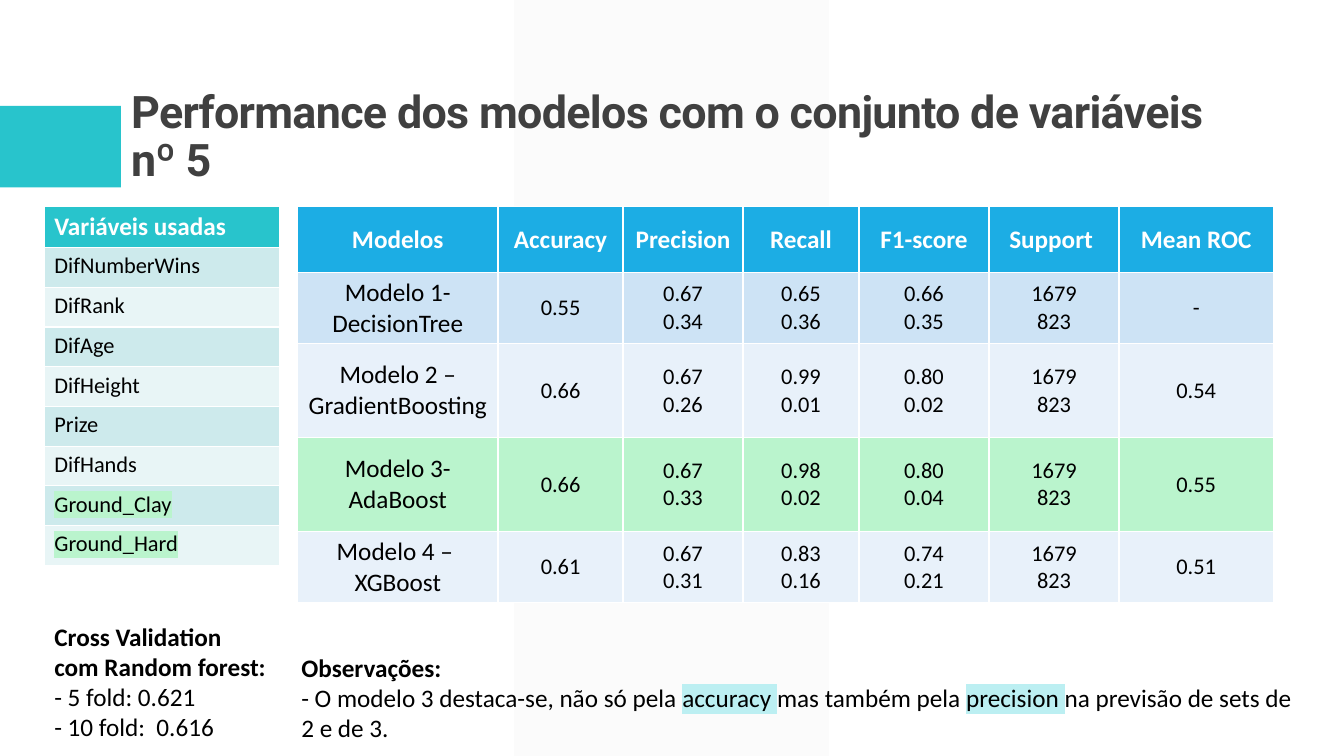
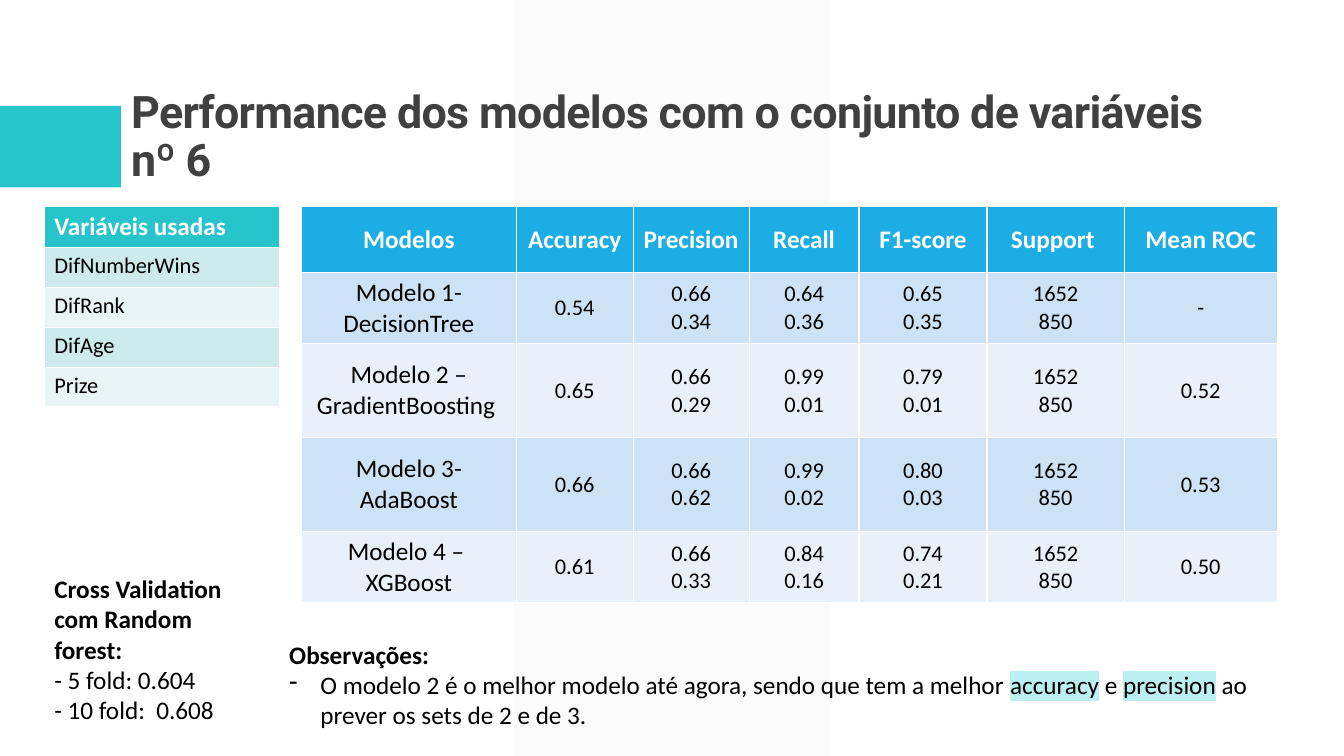
import lxml.etree
import pptx
import pptx.dml.color
import pptx.enum.shapes
import pptx.enum.text
import pptx.oxml.ns
import pptx.util

Inches = pptx.util.Inches
Pt = pptx.util.Pt
ALIGN = pptx.enum.text.PP_ALIGN
ANCHOR = pptx.enum.text.MSO_ANCHOR
qn = pptx.oxml.ns.qn

TEAL, BLUE, GREEN, AQUA = "28C4CC", "1CADE4", "BAF4CD", "BCEFF2"
WHITE, BLACK, TITLE_GRAY, BAND_GRAY = "FFFFFF", "000000", "404040", "F2F2F2"
BLUE_ROWS = ["CDE3F5", "E8F1FA"]
TEAL_ROWS = ["CDEAEC", "E8F5F6"]

HEADERS = ["Modelos", "Accuracy", "Precision", "Recall", "F1-score", "Support ", "Mean ROC"]
MODELS = ["Modelo 1- DecisionTree", "Modelo 2 – GradientBoosting ",
          "Modelo 3- AdaBoost", "Modelo 4 – \nXGBoost"]
ROW_HEIGHTS = [0.65, 0.7, 0.93, 0.93, 0.7]

PAGES = [
    {
        "number": 5,
        "table_left": 2.95,
        "widths": [1.99, 1.24, 1.19, 1.15, 1.29, 1.29, 1.53],
        "support": "1679\n823",
        "scores": [
            ["0.55", "0.67\n0.34", "0.65\n0.36", "0.66\n0.35", "-"],
            ["0.66", "0.67\n0.26", "0.99\n0.01", "0.80\n0.02", "0.54"],
            ["0.66", "0.67\n0.33", "0.98\n0.02", "0.80\n0.04", "0.55"],
            ["0.61", "0.67\n0.31", "0.83\n0.16", "0.74\n0.21", "0.51"],
        ],
        "best_row": 3,
        "variables": ["DifNumberWins", "DifRank", "DifAge", "DifHeight", "Prize", "DifHands",
                      "|Ground_Clay", "|Ground_Hard"],
        "variables_height": 3.55,
        "validation_box": (0.44, 6.11, 2.51, 1.31),
        "validation_heading": "Cross Validation\ncom Random forest:",
        "folds": "- 5 fold: 0.621\n- 10 fold:  0.616",
        "notes_box": (2.89, 6.42, 10.11, 1.01),
        "observation": "- O modelo 3 destaca-se, não só pela |accuracy |mas também pela "
                       "|precision |na previsão de sets de 2 e de 3.",
        "bulleted": False,
    },
    {
        "number": 6,
        "table_left": 2.99,
        "widths": [2.13, 1.16, 1.15, 1.09, 1.27, 1.36, 1.52],
        "support": "1652\n850",
        "scores": [
            ["0.54", "0.66\n0.34", "0.64\n0.36", "0.65\n0.35", "-"],
            ["0.65", "0.66\n0.29", "0.99\n0.01", "0.79\n0.01", "0.52"],
            ["0.66", "0.66\n0.62", "0.99\n0.02", "0.80\n0.03", "0.53"],
            ["0.61", "0.66\n0.33", "0.84\n0.16", "0.74\n0.21", "0.50"],
        ],
        "best_row": None,
        "variables": ["DifNumberWins", "DifRank", "DifAge", "Prize"],
        "variables_height": 1.98,
        "validation_box": (0.44, 5.64, 2, 1.62),
        "validation_heading": "Cross Validation com Random forest:",
        "folds": "- 5 fold: 0.604\n- 10 fold:  0.608",
        "notes_box": (2.77, 6.29, 10.12, 1.01),
        "observation": "O modelo 2 é o melhor modelo até agora, sendo que tem a melhor "
                       "|accuracy| e |precision| ao prever os sets de 2 e de 3.",
        "bulleted": True,
    },
]


def color(value):
    return pptx.dml.color.RGBColor.from_string(value)


def write(text_frame, text, size, hex_color=BLACK, bold=False, align=ALIGN.LEFT,
          highlight=AQUA, font_name="Calibri"):
    for line in text.split("\n"):
        paragraph = text_frame.paragraphs[-1]
        if paragraph.runs:
            paragraph = text_frame.add_paragraph()
        paragraph.alignment = align
        paragraph.font.name = font_name
        paragraph.font.size = Pt(size)
        paragraph.font.bold = bold
        paragraph.font.color.rgb = color(hex_color)
        for index, part in enumerate(line.split("|")):
            if part:
                run = paragraph.add_run()
                run.text = part
                if index % 2:
                    mark = lxml.etree.SubElement(run._r.get_or_add_rPr(), qn("a:highlight"))
                    lxml.etree.SubElement(mark, qn("a:srgbClr"), val=highlight)
    return paragraph


presentation = pptx.Presentation()
presentation.slide_width = Inches(13.33)
presentation.slide_height = Inches(7.5)
layout = presentation.slide_layouts[5]
slides = [presentation.slides.add_slide(layout) for page in PAGES]

decorations = [((0, 1.05, 1.2, 0.81), TEAL, 100), ((5.1, 0, 3.12, 7.5), BAND_GRAY, 30)]
for box, fill, opacity in decorations:
    shape = slides[0].shapes.add_shape(pptx.enum.shapes.MSO_SHAPE.RECTANGLE, *map(Inches, box))
    shape.shadow.inherit = False
    shape.line.fill.background()
    shape.fill.solid()
    shape.fill.fore_color.rgb = color(fill)
    fill_color = shape.element.spPr.find(".//" + qn("a:srgbClr"))
    lxml.etree.SubElement(fill_color, qn("a:alpha"), val=str(opacity * 1000))
    layout.shapes.element.insert(2, shape.element)

for slide, page in zip(slides, PAGES):
    title = slide.shapes.title
    title.left, title.top, title.width, title.height = map(Inches, (1.2, 0.31, 11, 1.59))
    title.text_frame.word_wrap = True
    title.text_frame.auto_size = pptx.enum.text.MSO_AUTO_SIZE.NONE
    title.text_frame.vertical_anchor = ANCHOR.BOTTOM
    heading = f"Performance dos modelos com o conjunto de variáveis nº {page['number']}"
    paragraph = write(title.text_frame, heading, 32, TITLE_GRAY, True, font_name="Roboto")
    paragraph.line_spacing = 0.9
    paragraph.runs[0]._r.get_or_add_rPr().set("spc", "-50")

    rows = [HEADERS]
    for model, scores in zip(MODELS, page["scores"]):
        rows.append([model, *scores[:4], page["support"], scores[4]])
    table = slide.shapes.add_table(len(rows), len(HEADERS), Inches(page["table_left"]),
                                   Inches(2.05), Inches(9.69), Inches(3.92)).table
    for column, width in zip(table.columns, page["widths"]):
        column.width = Inches(width)
    for row_index, values in enumerate(rows):
        table.rows[row_index].height = Inches(ROW_HEIGHTS[row_index])
        is_header = row_index == 0
        fill = BLUE if is_header else BLUE_ROWS[(row_index - 1) % 2]
        if row_index == page["best_row"]:
            fill = GREEN
        for column_index, value in enumerate(values):
            cell = table.cell(row_index, column_index)
            cell.vertical_anchor = ANCHOR.MIDDLE
            cell.fill.solid()
            cell.fill.fore_color.rgb = color(fill)
            size = 18 if is_header or column_index == 0 else 16
            write(cell.text_frame, value, size, WHITE if is_header else BLACK, is_header,
                  ALIGN.CENTER)

    variables = ["Variáveis usadas", *page["variables"]]
    table = slide.shapes.add_table(len(variables), 1, Inches(0.44), Inches(2.05), Inches(2.33),
                                   Inches(page["variables_height"])).table
    for row_index, variable in enumerate(variables):
        is_header = row_index == 0
        cell = table.cell(row_index, 0)
        cell.fill.solid()
        cell.fill.fore_color.rgb = color(TEAL if is_header else TEAL_ROWS[(row_index - 1) % 2])
        write(cell.text_frame, variable, 18 if is_header else 16,
              WHITE if is_header else BLACK, is_header, highlight=GREEN)

    text_boxes = [
        (page["validation_box"], page["validation_heading"], page["folds"]),
        (page["notes_box"], "Observações:", page["observation"]),
    ]
    for box, heading, body in text_boxes:
        text_frame = slide.shapes.add_textbox(*map(Inches, box)).text_frame
        text_frame.word_wrap = True
        write(text_frame, heading, 18, bold=True)
        paragraph = write(text_frame, body, 18)

    if page["bulleted"]:
        properties = paragraph._p.get_or_add_pPr()
        properties.set("marL", str(Inches(0.31)))
        properties.set("indent", str(-Inches(0.31)))
        bullet = lxml.etree.Element(qn("a:buChar"), char="-")
        properties.insert(0, bullet)

presentation.save("out.pptx")
